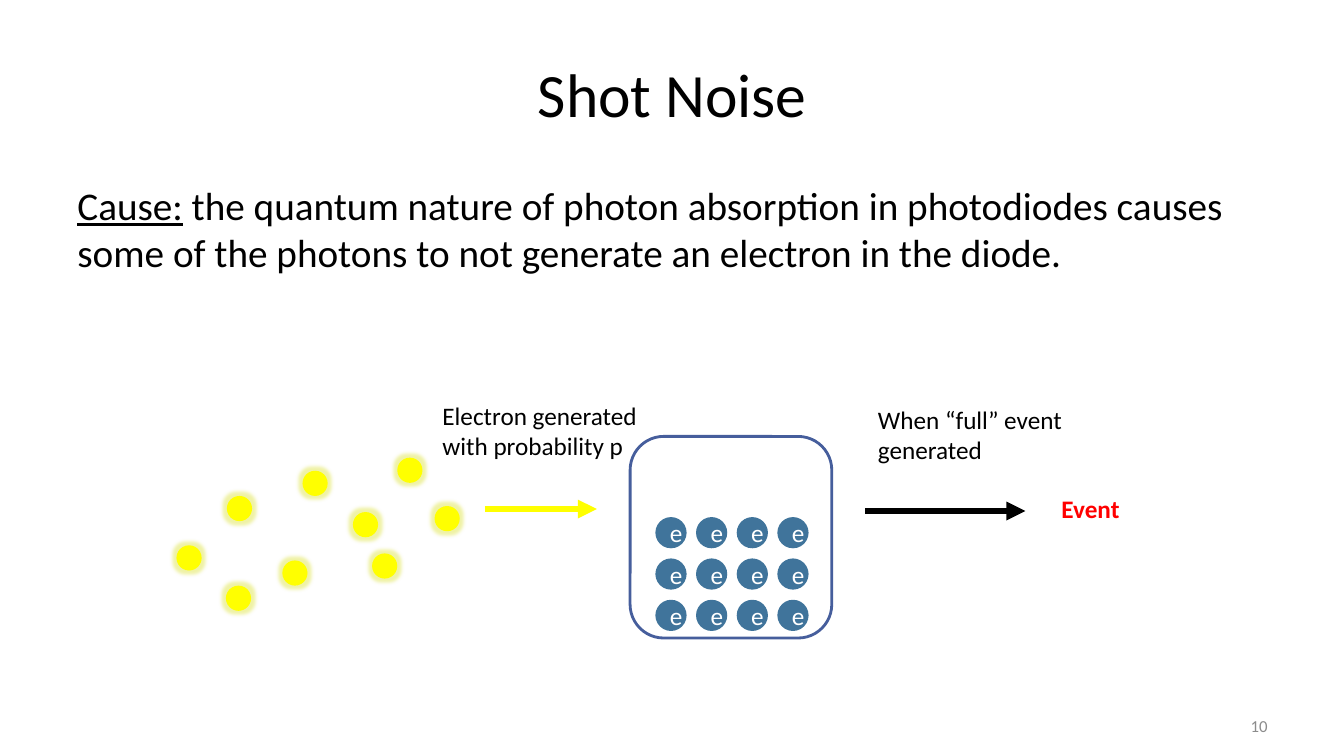
import pptx
import pptx.dml.color
import pptx.enum.shapes
import pptx.enum.text
import pptx.oxml
import pptx.oxml.ns
import pptx.util
from lxml import etree

Inches = pptx.util.Inches
Pt = pptx.util.Pt
SHAPES = pptx.enum.shapes.MSO_SHAPE
ALIGN = pptx.enum.text.PP_ALIGN
ANCHOR = pptx.enum.text.MSO_ANCHOR


def color(value):
    return pptx.dml.color.RGBColor.from_string(value)


class SlideBuilder:
    font_name = "Calibri"
    black = "000000"
    white = "FFFFFF"
    grey = "8C8C8C"
    red = "FF0000"
    yellow = "FFFF00"
    glow = "D9E021"
    electron_blue = "40749B"
    outline_blue = "465E9C"

    def __init__(self, slide):
        self.slide = slide

    def add_runs(self, paragraph, runs, size, fill, align=ALIGN.LEFT):
        paragraph.alignment = align
        for text, changes in runs:
            run = paragraph.add_run()
            run.text = text
            values = {"name": self.font_name, "size": Pt(size), **changes}
            for name, value in values.items():
                setattr(run.font, name, value)
            run.font.color.rgb = color(fill)

    def text(self, box, runs, size, fill=black, align=ALIGN.LEFT, anchor=ANCHOR.TOP):
        shape = self.slide.shapes.add_textbox(*map(Inches, box))
        frame = shape.text_frame
        for name, value in {"word_wrap": True, "vertical_anchor": anchor}.items():
            setattr(frame, name, value)
        self.add_runs(frame.paragraphs[0], runs, size, fill, align)

    def shape(self, kind, box, fill=None, line=None):
        shape = self.slide.shapes.add_shape(kind, *map(Inches, box))
        shape.shadow.inherit = False
        if fill:
            shape.fill.solid()
            shape.fill.fore_color.rgb = color(fill)
        else:
            shape.fill.background()
        if line:
            shape.line.color.rgb = color(line)
            shape.line.width = Pt(2)
        else:
            shape.line.fill.background()
        return shape

    def photon(self, left, top):
        shape = self.shape(SHAPES.OVAL, (left, top, 0.25, 0.25), self.yellow)
        effects = shape._element.spPr.find(pptx.oxml.ns.qn("a:effectLst"))
        effects.append(pptx.oxml.parse_xml(
            f'<a:glow {pptx.oxml.ns.nsdecls("a")} rad="{Pt(5)}">'
            f'<a:srgbClr val="{self.glow}"><a:alpha val="40000"/></a:srgbClr></a:glow>'
        ))

    def electron(self, left, top):
        shape = self.shape(SHAPES.OVAL, (left, top, 0.31, 0.31), self.electron_blue)
        frame = shape.text_frame
        frame.vertical_anchor = ANCHOR.MIDDLE
        self.add_runs(frame.paragraphs[0], [("e", {})], 18, self.white, ALIGN.CENTER)

    def arrow(self, start, end, top, fill):
        connector = self.slide.shapes.add_connector(
            pptx.enum.shapes.MSO_CONNECTOR.STRAIGHT,
            Inches(start), Inches(top), Inches(end), Inches(top),
        )
        connector.line.color.rgb = color(fill)
        connector.line.width = Pt(4.5)
        qn = pptx.oxml.ns.qn
        outline = connector._element.spPr.find(qn("a:ln"))
        etree.SubElement(outline, qn("a:tailEnd"), type="triangle")
        etree.SubElement(connector._element.spPr, qn("a:effectLst"))


def main():
    presentation = pptx.Presentation()
    presentation.slide_width = Inches(13.33)
    presentation.slide_height = Inches(7.5)
    builder = SlideBuilder(presentation.slides.add_slide(presentation.slide_layouts[6]))

    builder.text((0.67, 0.3, 12, 1.25), [("Shot Noise", {})], 44,
                 align=ALIGN.CENTER, anchor=ANCHOR.MIDDLE)
    cause = [
        ("Cause:", {"underline": True}),
        (" the quantum nature of photon absorption in photodiodes causes some of "
         "the photons to not generate an electron in the diode.", {}),
    ]
    builder.text((0.67, 1.75, 12, 4.95), cause, 28)
    builder.text((9.56, 7, 3.11, 0.4), [("10", {})], 12, builder.grey,
                 ALIGN.RIGHT, ANCHOR.MIDDLE)

    builder.shape(SHAPES.ROUNDED_RECTANGLE, (6.25, 4.33, 2, 2), line=builder.outline_blue)
    photons = [
        (2.25, 4.92), (3, 4.67), (1.75, 5.41), (2.8, 5.56), (3.5, 5.08),
        (3.94, 4.54), (3.69, 5.49), (4.31, 5.02), (2.24, 5.81),
    ]
    for left, top in photons:
        builder.photon(left, top)
    builder.arrow(4.81, 5.92, 5.05, builder.yellow)

    for row in range(3):
        for column in range(4):
            builder.electron(6.5 + 1.21 * column / 3, 5.95 - 0.41 * row)

    builder.text((4.29, 3.92, 2.14, 0.71),
                 [("Electron generated with probability p", {})], 18)
    builder.arrow(8.58, 10.17, 5.07, builder.black)
    builder.text((8.61, 3.96, 2.14, 0.71), [("When “full” event generated", {})], 18)
    builder.text((10.43, 4.84, 2.14, 0.4), [("Event", {"bold": True})], 18, builder.red)

    presentation.save("out.pptx")


if __name__ == "__main__":
    main()
